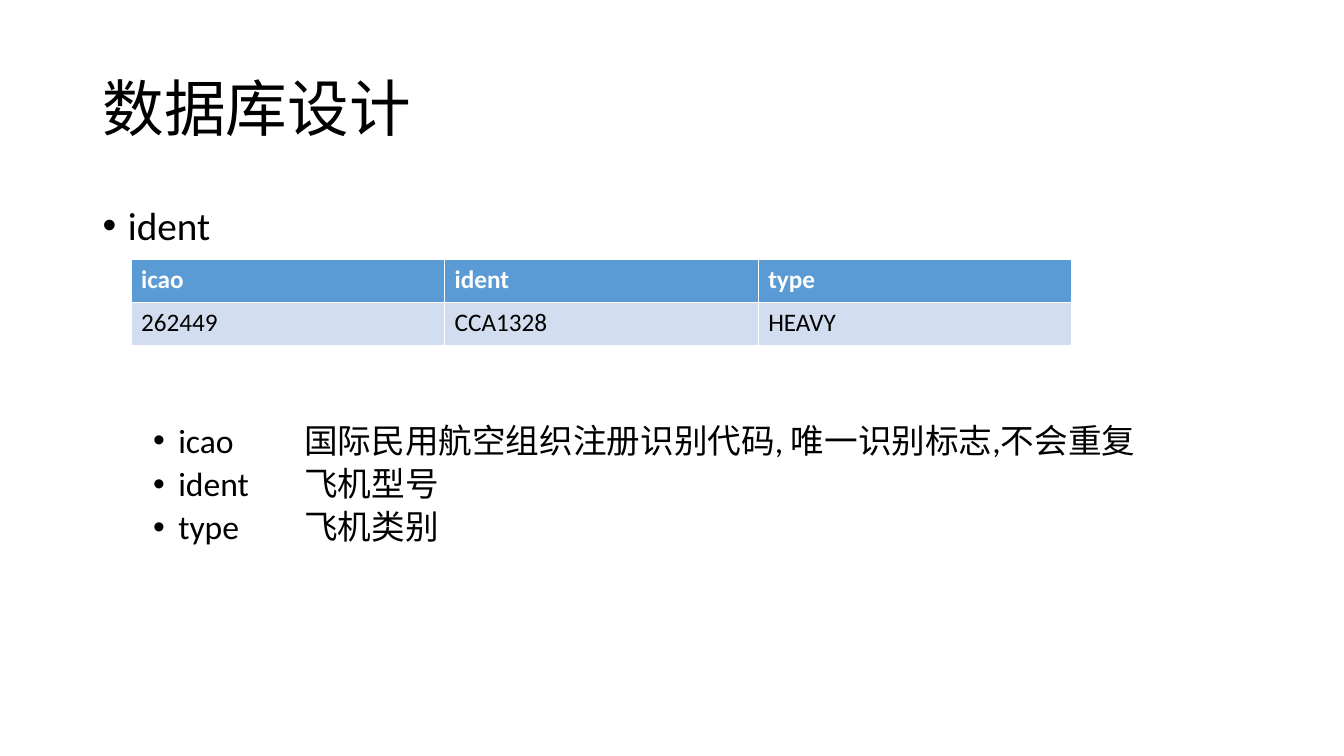
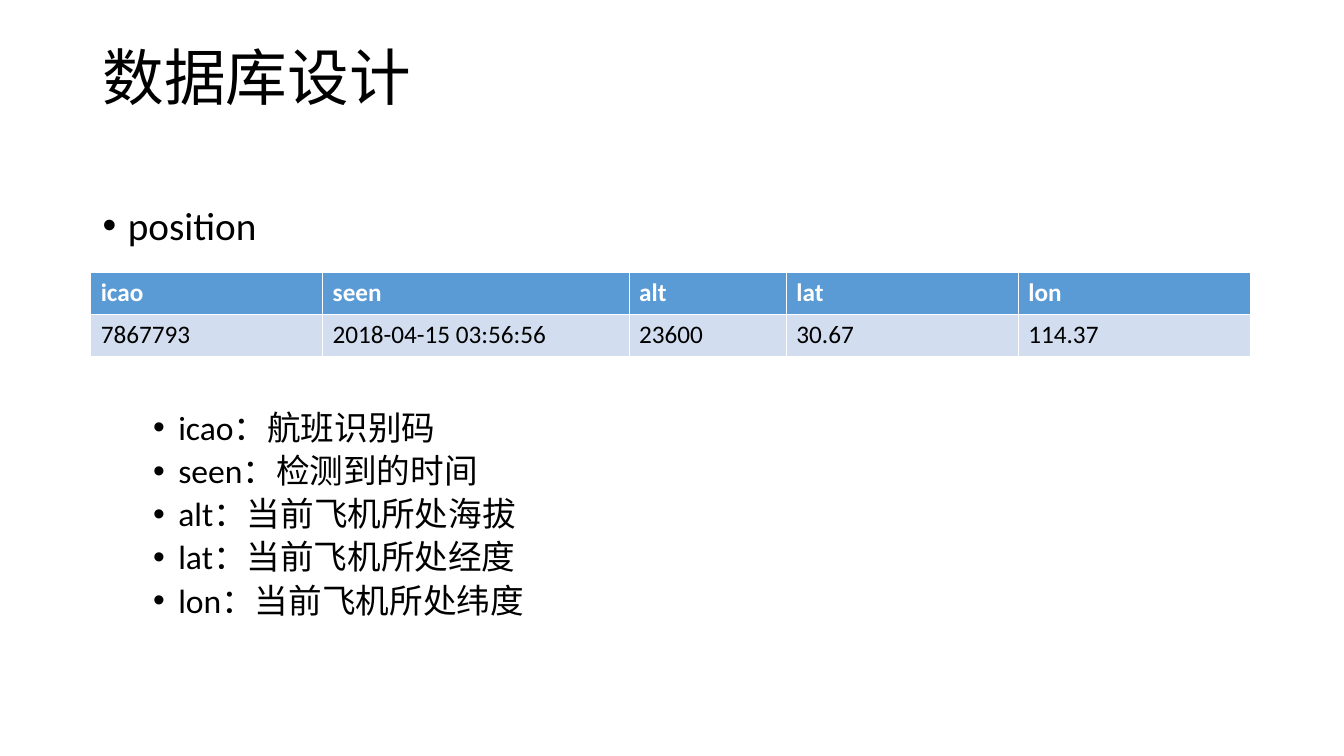
import pptx
import pptx.util
import pptx.dml.color
import pptx.enum.text
import pptx.oxml.xmlchemy
from lxml import etree
import pptx.oxml.ns

Inches = pptx.util.Inches
Pt = pptx.util.Pt
BLACK = pptx.dml.color.RGBColor(0x00, 0x00, 0x00)
WHITE = pptx.dml.color.RGBColor(0xFF, 0xFF, 0xFF)
HEADER_BLUE = pptx.dml.color.RGBColor(0x5B, 0x9B, 0xD5)
ROW_BLUE = pptx.dml.color.RGBColor(0xD2, 0xDE, 0xEF)
FONT = "Calibri"
TITLE = "数据库设计"
LEFT, WIDTH = 0.92, 11.5
BULLET_HANG = 0.25
TAB_STOP = 2

SLIDES = [
    {
        "title_top": 0.38,
        "heading": "ident",
        "table_at": (1.3, 2.57),
        "columns": [3.11, 3.11, 3.11],
        "row_height": 0.43,
        "rows": [("icao", "ident", "type"), ("262449", "CCA1328", "HEAVY")],
        "fields_top": 4.16,
        "fields": [
            "icao\t国际民用航空组织注册识别代码, 唯一识别标志,不会重复",
            "ident\t飞机型号",
            "type\t飞机类别",
        ],
    },
    {
        "title_top": 0.07,
        "heading": "position",
        "table_at": (0.9, 2.7),
        "columns": [2.3, 3.04, 1.56, 2.3, 2.3],
        "row_height": 0.42,
        "rows": [
            ("icao", "seen", "alt", "lat", "lon"),
            ("7867793", "2018-04-15 03:56:56", "23600", "30.67", "114.37"),
        ],
        "fields_top": 4.03,
        "fields": [
            "icao：航班识别码",
            "seen：检测到的时间",
            "alt：当前飞机所处海拔",
            "lat：当前飞机所处经度",
            "lon：当前飞机所处纬度",
        ],
    },
]


def add_run(paragraph, text, size, color=BLACK, bold=False):
    run = paragraph.add_run()
    run.text = text
    run.font.name = FONT
    run.font.size = Pt(size)
    run.font.bold = bold
    run.font.color.rgb = color


def add_bullet(paragraph, indent):
    properties = paragraph._p.get_or_add_pPr()
    properties.set("marL", str(Inches(indent)))
    properties.set("indent", str(-Inches(BULLET_HANG)))
    qn = pptx.oxml.ns.qn
    etree.SubElement(properties, qn("a:buFont"), typeface="Arial")
    etree.SubElement(properties, qn("a:buChar"), char="•")
    tabs = etree.SubElement(properties, qn("a:tabLst"))
    etree.SubElement(tabs, qn("a:tab"), pos=str(Inches(TAB_STOP)), algn="l")


def add_text(slide, top, height, lines, size, indent=None, anchor="TOP"):
    box = slide.shapes.add_textbox(Inches(LEFT), Inches(top), Inches(WIDTH), Inches(height))
    frame = box.text_frame
    frame.word_wrap = True
    frame.vertical_anchor = pptx.enum.text.MSO_ANCHOR[anchor]
    for index, line in enumerate(lines):
        paragraph = frame.add_paragraph() if index else frame.paragraphs[0]
        if indent is not None:
            add_bullet(paragraph, indent)
        paragraph.line_spacing = 0.9
        if index:
            paragraph.space_before = Pt(5)
        add_run(paragraph, line, size)


def add_record_table(slide, content):
    left, top = content["table_at"]
    columns, rows = content["columns"], content["rows"]
    height = content["row_height"]
    table = slide.shapes.add_table(
        len(rows), len(columns), Inches(left), Inches(top),
        Inches(sum(columns)), Inches(height * len(rows)),
    ).table
    for column, width in zip(table.columns, columns):
        column.width = Inches(width)
    for row_index, values in enumerate(rows):
        header = row_index == 0
        for column_index, value in enumerate(values):
            cell = table.cell(row_index, column_index)
            cell.fill.solid()
            cell.fill.fore_color.rgb = HEADER_BLUE if header else ROW_BLUE
            add_run(cell.text_frame.paragraphs[0], value, 18,
                    WHITE if header else BLACK, header)


def main():
    deck = pptx.Presentation()
    deck.slide_width, deck.slide_height = Inches(13.33), Inches(7.5)
    for content in SLIDES:
        slide = deck.slides.add_slide(deck.slide_layouts[6])
        add_text(slide, content["title_top"], 1.45, [TITLE], 44, anchor="MIDDLE")
        add_text(slide, 2, 0.55, [content["heading"]], 28, indent=0.25)
        add_text(slide, content["fields_top"], 0.44 * len(content["fields"]) + 0.1,
                 content["fields"], 24, indent=0.75)
        add_record_table(slide, content)
    deck.save("out.pptx")


if __name__ == "__main__":
    main()
